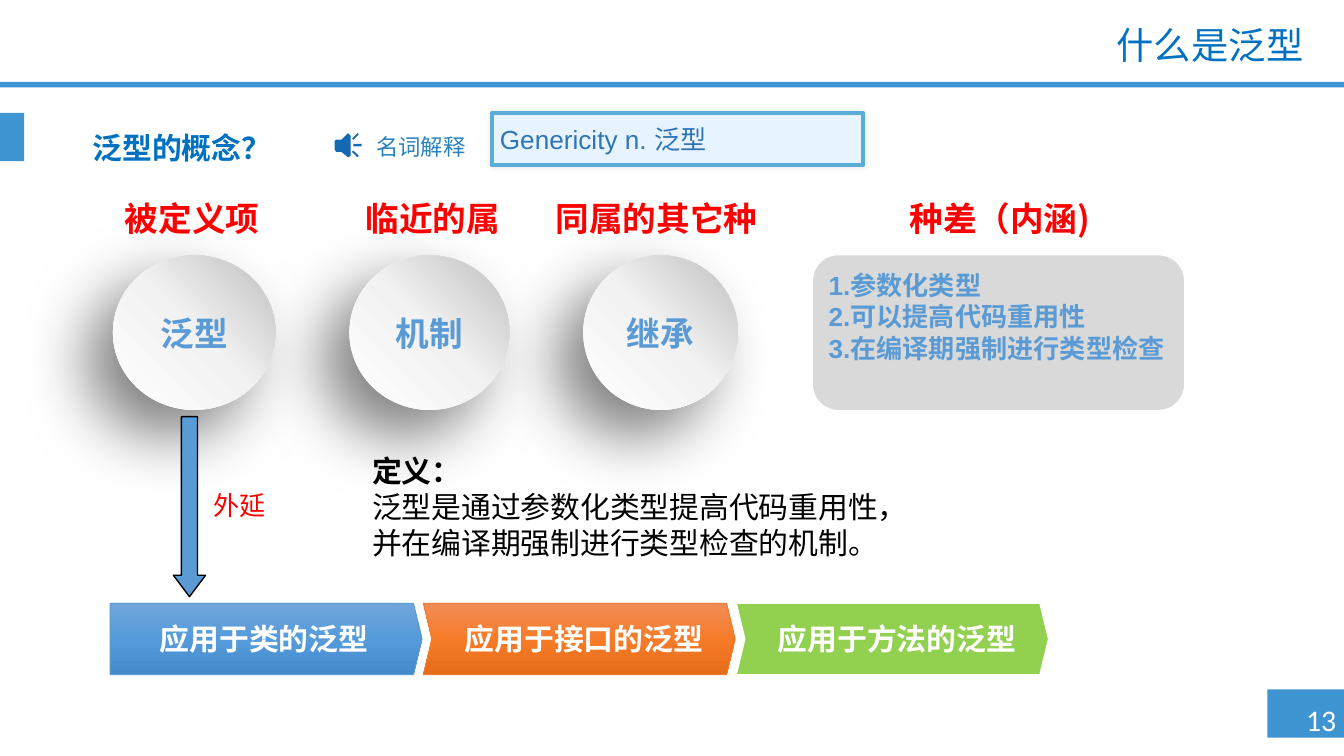
from lxml import etree
from pptx import Presentation
from pptx.dml.color import RGBColor
from pptx.enum.shapes import MSO_SHAPE
from pptx.enum.text import MSO_ANCHOR, PP_ALIGN
from pptx.oxml.ns import qn
from pptx.util import Inches, Pt

RECT, OVAL, ROUNDED = MSO_SHAPE.RECTANGLE, MSO_SHAPE.OVAL, MSO_SHAPE.ROUNDED_RECTANGLE
PENTAGON, CHEVRON, DOWN = MSO_SHAPE.PENTAGON, MSO_SHAPE.CHEVRON, MSO_SHAPE.DOWN_ARROW
LEFT, CENTER, RIGHT = PP_ALIGN.LEFT, PP_ALIGN.CENTER, PP_ALIGN.RIGHT
TOP, MIDDLE = MSO_ANCHOR.TOP, MSO_ANCHOR.MIDDLE
CJK, LATIN, HEADING = "Noto Sans CJK SC", "Arial", "Calibri"
CELL = Inches(0.1)
COLORS = {
    "bar": "3F95D2", "title": "0070C0", "label": "FF0000", "accent": "5B9BD5",
    "panel": "D9D9D9", "white": "FFFFFF", "black": "000000", "green": "92D050",
    "orange": "ED7D31", "icon": "136AB3", "hint": "2883BC", "term": "2E75B6",
    "term_fill": "E7F4FF", "term_line": "5AADD6",
}
SPHERE = ([(0, "FFFFFF"), (51, "F2F2F2"), (100, "BFBFBF")], 315)
BLUE_FADE = ([(0, "71A6DB"), (50, "559BDB"), (100, "448ACA")], 90)
ORANGE_FADE = ([(0, "F18C57"), (50, "F67B28"), (100, "E56C19")], 90)
SPEAKER = [
    [(10, 0), (5, 5), (1, 5), (0, 6), (0, 12), (1, 14), (5, 14), (10, 18), (12, 17), (12, 2)],
    [(14, 8), (20, 8), (20, 10), (14, 10)],
    [(13, 4), (17, 0), (18, 1), (14, 5)],
    [(13, 14), (17, 18), (18, 17), (14, 13)],
]


def color(name):
    """Return the named colour."""
    return RGBColor.from_string(COLORS[name])


def cells(*values):
    """Turn grid cells into lengths."""
    return [int(value * CELL) for value in values]


def inside(box, left, top, width, height):
    """Return a box in cells, offset from its parent box."""
    return box[0] + left, box[1] + top, width, height


def write(shape, lines, size, tint, font=CJK, bold=False, align=LEFT, anchor=TOP,
          insets=(1, 0.5, 1, 0.5), wrap=True):
    """Fill a shape with formatted lines of text."""
    frame = shape.text_frame
    frame.text = "\n".join(lines)
    frame.word_wrap, frame.vertical_anchor = wrap, anchor
    (frame.margin_left, frame.margin_top,
     frame.margin_right, frame.margin_bottom) = cells(*insets)
    for para in frame.paragraphs:
        para.alignment = align
        for span in para.runs:
            span.font.size, span.font.bold, span.font.name = Pt(size), bold, font
            span.font.color.rgb = color(tint)
            east_asian = etree.SubElement(span.font._element, qn("a:ea"))
            east_asian.set("typeface", CJK)
    return frame


def add_text(page, box, lines, size, tint, **style):
    """Add a text box."""
    return write(page.shapes.add_textbox(*cells(*box)), lines, size, tint, **style)


def add_block(page, kind, box, fill, line=None, weight=0.5):
    """Add a preset shape with a flat fill and an optional outline."""
    shape = page.shapes.add_shape(kind, *cells(*box))
    shape.shadow.inherit = False
    shape.fill.solid()
    shape.fill.fore_color.rgb = color(fill)
    if line:
        shape.line.color.rgb, shape.line.width = color(line), Pt(weight)
    else:
        shape.line.fill.background()
    return shape


def shade(shape, stops, angle):
    """Replace a flat fill with a linear gradient."""
    properties = shape._element.spPr
    gradient = etree.Element(qn("a:gradFill"), rotWithShape="1")
    stop_list = etree.SubElement(gradient, qn("a:gsLst"))
    for position, value in stops:
        stop = etree.SubElement(stop_list, qn("a:gs"), pos=str(position * 1000))
        etree.SubElement(stop, qn("a:srgbClr"), val=value)
    etree.SubElement(gradient, qn("a:lin"), ang=str(angle * 60000), scaled="0")
    properties.replace(properties.find(qn("a:solidFill")), gradient)


def cast_shadow(shape, alpha, blur, distance, angle):
    """Give a shape a soft black outer shadow."""
    effects = shape._element.spPr.find(qn("a:effectLst"))
    shadow = etree.SubElement(
        effects, qn("a:outerShdw"), blurRad=str(Pt(blur)), dist=str(Pt(distance)),
        dir=str(angle * 60000), algn="ctr", rotWithShape="0")
    tint = etree.SubElement(shadow, qn("a:srgbClr"), val=COLORS["black"])
    etree.SubElement(tint, qn("a:alpha"), val=str(alpha * 1000))


def add_frame(page, box):
    """Place the title, the rule, the side tab and the page number."""
    for part in ((94.3, 51.3, 5.7, 3.6), (0, 6.1, 100, 0.4), (0, 8.4, 1.8, 3.6)):
        add_block(page, RECT, inside(box, *part), "bar")
    title = page.shapes.title
    title.left, title.top, title.width, title.height = cells(*inside(box, 24, 1.5, 74, 4))
    frame = write(title, ["什么是泛型"], 20, "title", font=HEADING, align=RIGHT,
                  anchor=MIDDLE)
    frame.paragraphs[0].line_spacing = 0.9
    add_text(page, inside(box, 95.7, 51.7, 5.2, 3.7), ["13"], 16, "white",
             font=HEADING, align=CENTER, wrap=False)


def add_speaker(page, box):
    """Draw a loudspeaker with three sound waves."""
    builder = page.shapes.build_freeform(*SPEAKER[0][0], scale=CELL / 10)
    builder.add_line_segments(SPEAKER[0][1:])
    for start, *rest in SPEAKER[1:]:
        builder.move_to(*start)
        builder.add_line_segments(rest)
    icon = builder.convert_to_shape(*cells(*box[:2]))
    icon.shadow.inherit = False
    icon.fill.solid()
    icon.fill.fore_color.rgb = color("icon")
    icon.line.fill.background()


def add_term(page, box):
    """Place the question and the glossary entry."""
    question = add_text(page, inside(box, 0, 0.8, 81.9, 3.9), ["泛型的概念？"], 16, "title",
                        bold=True, anchor=MIDDLE)
    question.paragraphs[0].line_spacing = 0.9
    add_speaker(page, inside(box, 19, 1.5, 2, 2))
    add_text(page, inside(box, 22.1, 1.5, 6.7, 2), ["名词解释"], 12, "hint",
             insets=(0, 0, 0, 0), wrap=False)
    entry = add_block(page, RECT, inside(box, 30.7, 0, 27.6, 3.9), "term_fill",
                      "term_line", 2.25)
    cast_shadow(entry, 10, 3, 0, 0)
    write(entry, ["Genericity n. 泛型"], 14, "term", font=LATIN, insets=(0.6, 0.8, 0.6, 0))


def add_analysis(page, box):
    """Place the red headings over three spheres and the feature panel."""
    headings = (("被定义项", 0, 13.6), ("临近的属", 17.1, 15.2),
                ("同属的其它种", 32.7, 17.3), ("种差（内涵)", 57.2, 19.4))
    for heading, left, width in headings:
        add_text(page, inside(box, left, 0, width, 4), [heading], 18, "label",
                 bold=True, align=CENTER)
    for name, left, width in (("泛型", 0.9, 12.1), ("机制", 18.5, 11.9), ("继承", 35.9, 11.5)):
        sphere = add_block(page, OVAL, inside(box, left, 4.8, width, 11.5), "white")
        shade(sphere, *SPHERE)
        cast_shadow(sphere, 50, 35, 20, 135)
        write(sphere, [name], 18, "accent", font=LATIN, bold=True, align=CENTER,
              anchor=MIDDLE)
    panel = add_block(page, ROUNDED, inside(box, 53, 4.8, 27.6, 11.5), "panel")
    features = ["1.参数化类型", "2.可以提高代码重用性", "3.在编译期强制进行类型检查"]
    write(panel, features, 14, "accent", font=LATIN, bold=True,
          insets=(0.6, 0.5, 0.7, 0.5))


def add_definition(page, box):
    """Place the definition under a bold lead."""
    lines = ["定义：", "泛型是通过参数化类型提高代码重用性，", "并在编译期强制进行类型检查的机制。"]
    frame = add_text(page, box, lines, 16, "black", font=LATIN)
    frame.paragraphs[0].runs[0].font.bold = True


def add_extension(page, box):
    """Place the arrow and the chain of uses it points to."""
    arrow = add_block(page, DOWN, inside(box, 4.7, 0, 2.4, 13.4), "accent", "black", 0.75)
    arrow.adjustments[1] = 0.665
    add_text(page, inside(box, 5.5, 4.9, 8.2, 7.1), ["外延"], 14, "label", align=CENTER)
    uses = (("应用于类的泛型", PENTAGON, "accent", BLUE_FADE, 0),
            ("应用于接口的泛型", CHEVRON, "orange", ORANGE_FADE, 0.7),
            ("应用于方法的泛型", CHEVRON, "green", None, 0.7))
    for index, (name, kind, fill, fade, indent) in enumerate(uses):
        step = add_block(page, kind, inside(box, index * 23.3, 13.9, 23.2, 5.3), fill,
                         fill if fade else "white")
        step.adjustments[0] = 0.12
        if fade:
            shade(step, *fade)
        write(step, [name], 16, "white", bold=True, align=CENTER, anchor=MIDDLE,
              insets=(indent, 0, 0, 0))


def main():
    """Build the slide and save it."""
    deck = Presentation()
    deck.slide_width = Inches(10)
    deck.slide_height = deck.slide_width * 9 // 16
    page = deck.slides.add_slide(deck.slide_layouts[5])
    add_frame(page, (0, 0, 100, 56.25))
    add_term(page, (5.9, 8.4, 81.9, 4.7))
    add_analysis(page, (7.5, 14.2, 80.6, 16.3))
    add_extension(page, (8.2, 31, 69.8, 19.2))
    add_definition(page, (26.7, 33.2, 48.5, 9.1))
    deck.save("out.pptx")


if __name__ == "__main__":
    main()
